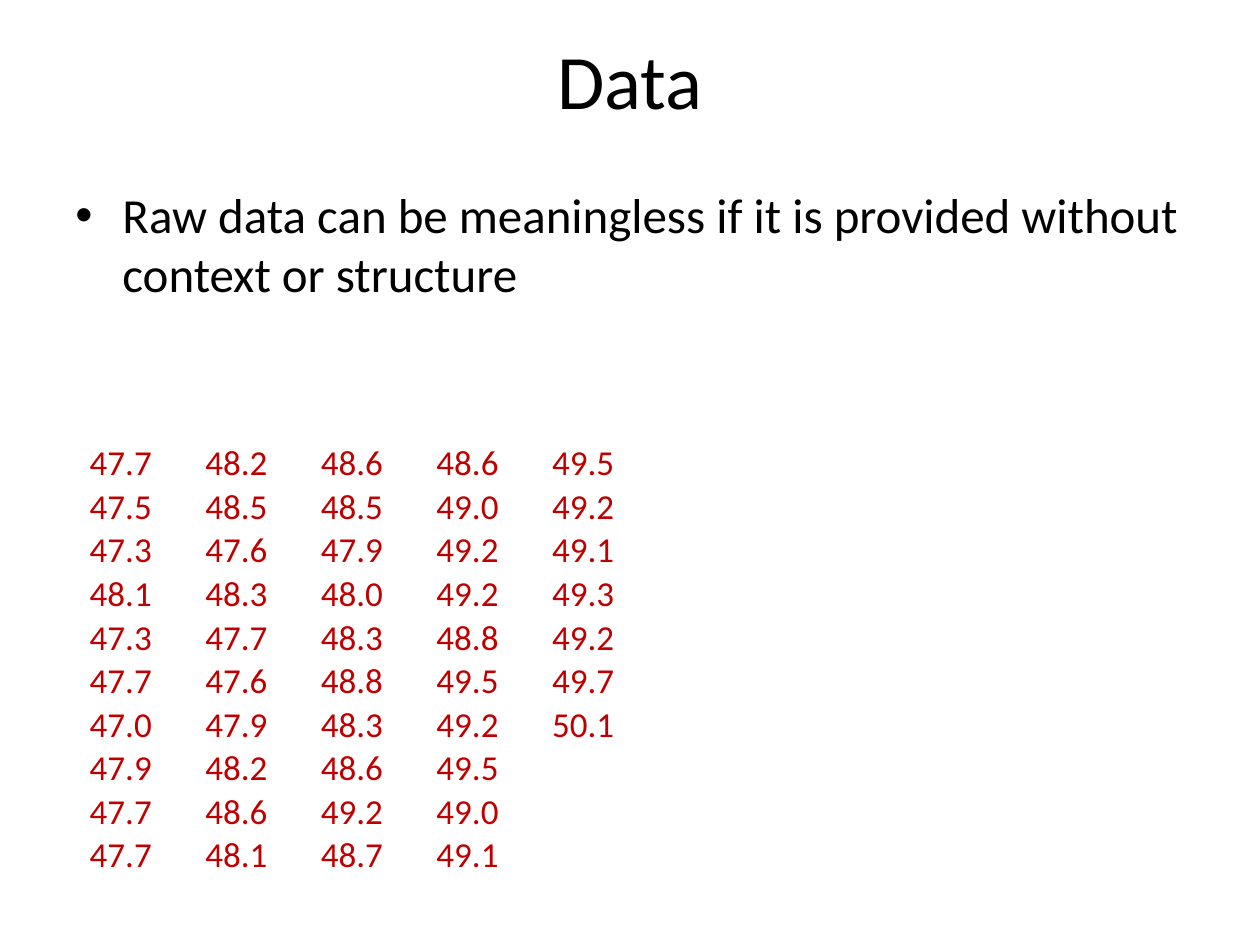
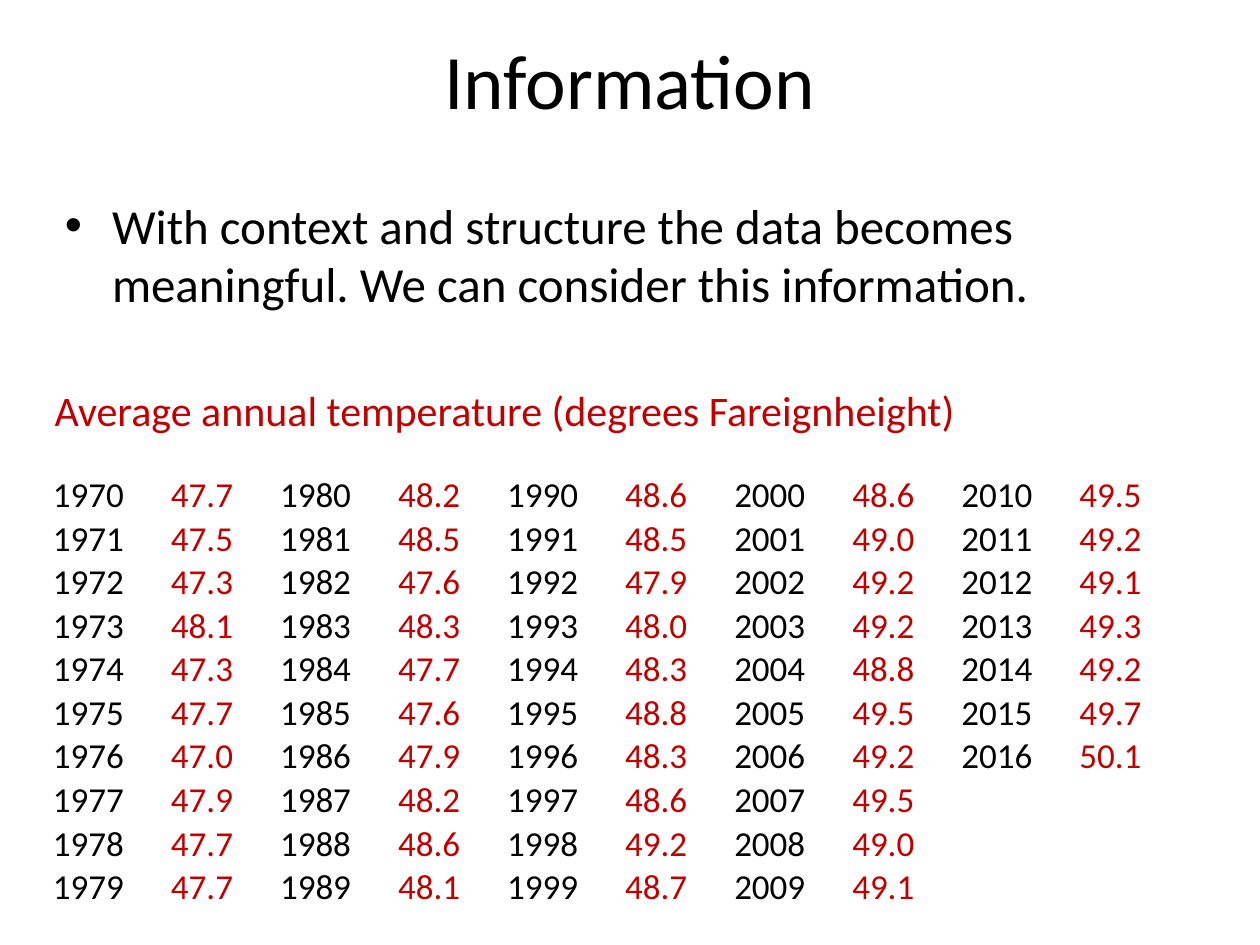
from lxml import etree
from pptx import Presentation
from pptx.dml.color import RGBColor
from pptx.enum.text import MSO_ANCHOR as Anchor, PP_ALIGN as Align
from pptx.oxml.ns import qn
from pptx.util import Cm, Pt

BLACK = RGBColor(0x00, 0x00, 0x00)
RED = RGBColor(0xC0, 0x00, 0x00)
FONT = "Calibri"
BLANK_LAYOUT = 6

FIRST_YEAR = 1970
ROWS = 10
TEMPERATURES_BY_DECADE = [
    "47.7 47.5 47.3 48.1 47.3 47.7 47.0 47.9 47.7 47.7".split(),
    "48.2 48.5 47.6 48.3 47.7 47.6 47.9 48.2 48.6 48.1".split(),
    "48.6 48.5 47.9 48.0 48.3 48.8 48.3 48.6 49.2 48.7".split(),
    "48.6 49.0 49.2 49.2 48.8 49.5 49.2 49.5 49.0 49.1".split(),
    "49.5 49.2 49.1 49.3 49.2 49.7 50.1".split(),
]


def add_run(paragraph, text, size, color):
    run = paragraph.add_run()
    run.text = text
    run.font.name = FONT
    run.font.size = Pt(size)
    run.font.color.rgb = color


def add_text(slide, text, left, top, width, height, size, color=BLACK):
    """Add a wrapping one-paragraph text box and return its text frame."""
    frame = slide.shapes.add_textbox(Cm(left), Cm(top), Cm(width), Cm(height)).text_frame
    frame.word_wrap = True
    add_run(frame.paragraphs[0], text, size, color)
    return frame


def add_title(slide, text):
    frame = add_text(slide, text, 1.27, 0, 22.86, 3.18, 44)
    frame.vertical_anchor = Anchor.MIDDLE
    frame.paragraphs[0].alignment = Align.CENTER


def add_bullet(slide, text, left, top, height):
    frame = add_text(slide, text, left, top, 23.5, height, 28)
    properties = frame.paragraphs[0]._p.get_or_add_pPr()
    indent = Cm(0.95)
    properties.set("marL", str(indent))
    properties.set("indent", str(-indent))
    etree.SubElement(properties, qn("a:buFont")).set("typeface", "Arial")
    etree.SubElement(properties, qn("a:buChar")).set("char", "•")


def fill_cell(cell, text, color):
    cell.fill.background()
    cell.margin_left = cell.margin_right = cell.margin_top = Cm(0.03)
    cell.margin_bottom = 0
    cell.vertical_anchor = Anchor.BOTTOM
    paragraph = cell.text_frame.paragraphs[0]
    paragraph.alignment = Align.CENTER
    if text:
        add_run(paragraph, text, 20, color)


def add_plain_table(slide, columns, left, top, column_width):
    """Add an unstyled table from (values, color) columns, which may be short."""
    table = slide.shapes.add_table(
        ROWS, len(columns), Cm(left), Cm(top),
        Cm(column_width * len(columns)), Cm(0.87 * ROWS)).table
    table.first_row = table.horz_banding = False
    for column, (values, color) in enumerate(columns):
        for row in range(ROWS):
            text = values[row] if row < len(values) else ""
            fill_cell(table.cell(row, column), text, color)


def dated_columns():
    """Put a column of years before the temperatures of each decade."""
    columns = []
    for decade, temperatures in enumerate(TEMPERATURES_BY_DECADE):
        start = FIRST_YEAR + 10 * decade
        years = [str(start + offset) for offset in range(len(temperatures))]
        columns += [(years, BLACK), (temperatures, RED)]
    return columns


def add_data_slide(deck):
    slide = deck.slides.add_slide(deck.slide_layouts[BLANK_LAYOUT])
    add_title(slide, "Data")
    raw_columns = [(temperatures, RED) for temperatures in TEMPERATURES_BY_DECADE]
    add_plain_table(slide, raw_columns, 1.27, 8.89, 2.33)
    add_bullet(slide, "Raw data can be meaningless if it is provided without "
               "context or structure", 1.27, 3.6, 5.08)


def add_information_slide(deck):
    slide = deck.slides.add_slide(deck.slide_layouts[BLANK_LAYOUT])
    add_title(slide, "Information")
    add_plain_table(slide, dated_columns(), 0.64, 9.53, 2.29)
    add_text(slide, "Average annual temperature (degrees Fareignheight)",
             0.85, 7.62, 23.28, 1.28, 24, RED)
    add_bullet(slide, "With context and structure the data becomes meaningful. "
               "We can consider this information.", 1.06, 3.81, 2.75)


def main():
    deck = Presentation()
    deck.slide_width, deck.slide_height = Cm(25.4), Cm(19.05)
    add_data_slide(deck)
    add_information_slide(deck)
    deck.save("out.pptx")


if __name__ == "__main__":
    main()
